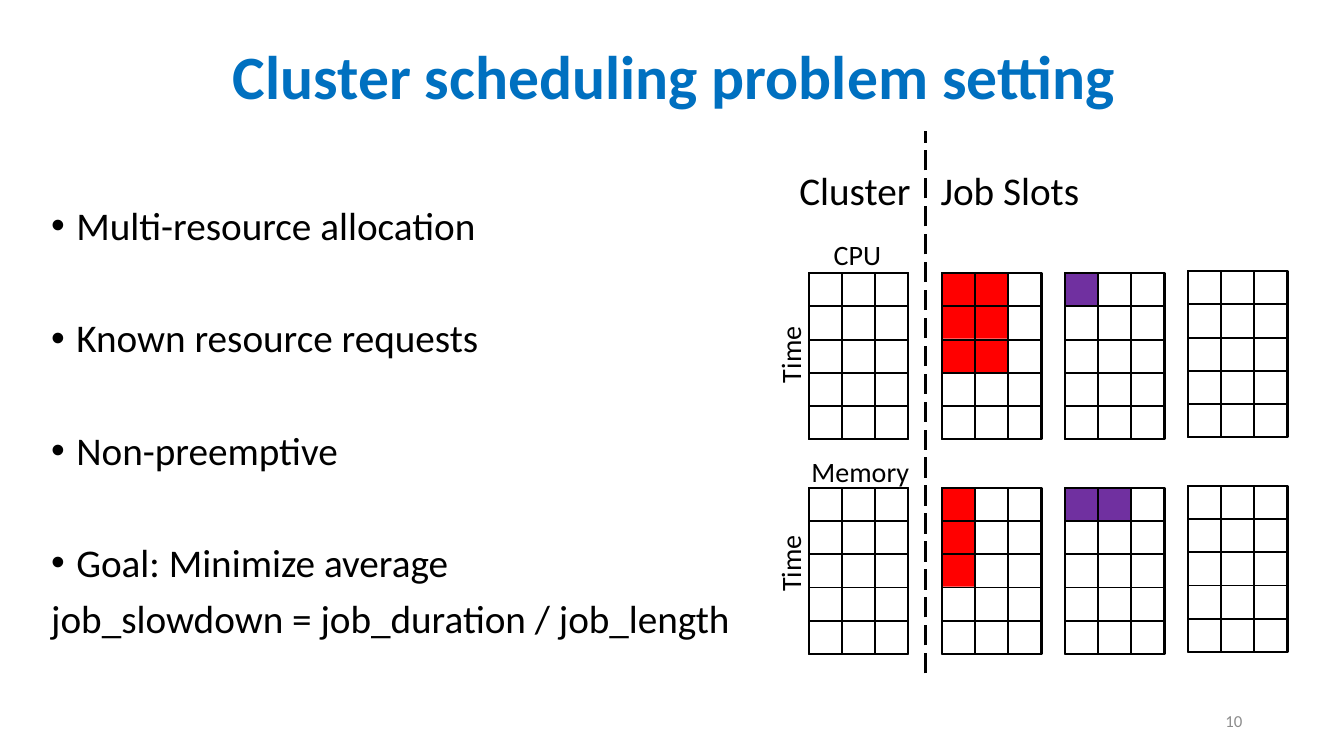
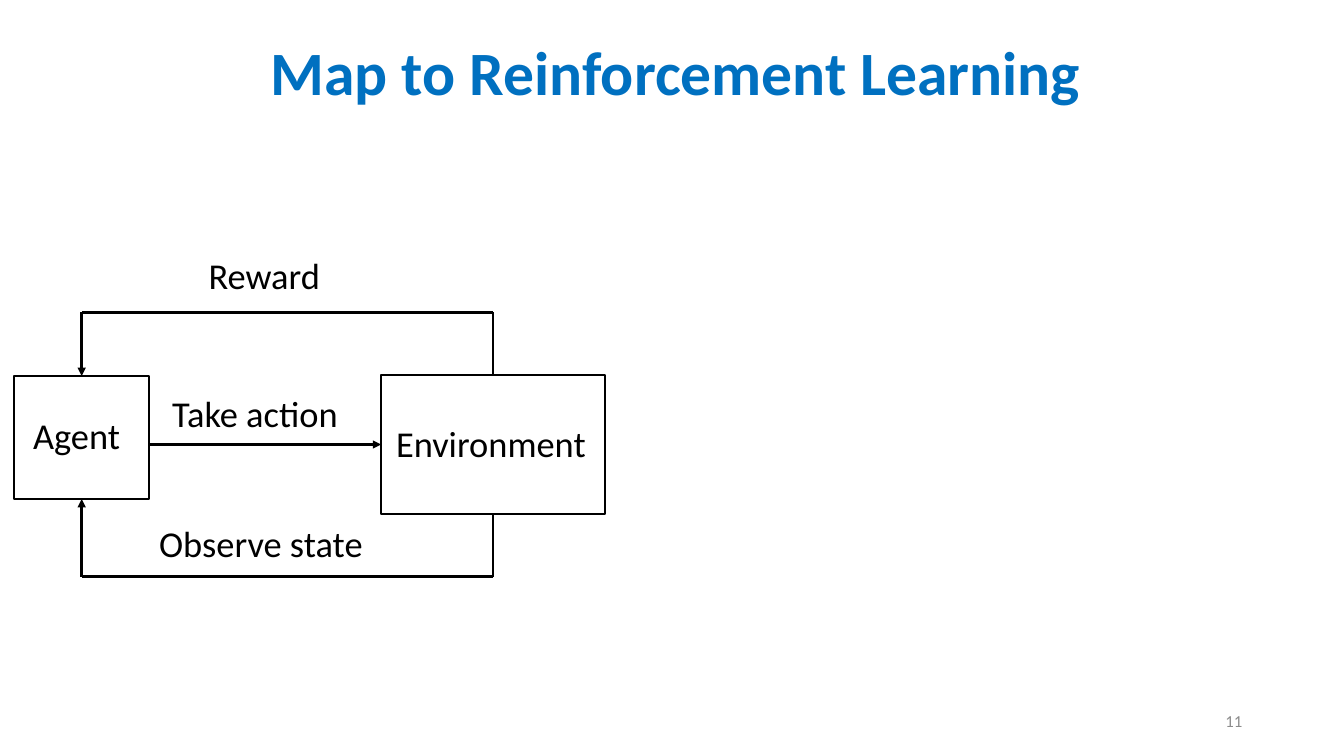
from dataclasses import dataclass
from lxml.etree import SubElement as Sub
from pptx import Presentation
from pptx.dml.color import RGBColor as Rgb
from pptx.enum.dml import MSO_LINE as Dash
from pptx.enum.shapes import MSO_CONNECTOR as Conn, MSO_SHAPE as Form
from pptx.enum.text import MSO_ANCHOR as Anchor, PP_ALIGN as Align
from pptx.oxml.ns import qn
from pptx.util import Pt

PX = 9144  # one hundredth of an inch


@dataclass(frozen=True)
class Theme:
    font: str = "Calibri"
    ink: str = "000000"
    blue: str = "0070C0"
    gray: str = "8C8C8C"
    red: str = "FF0000"
    plum: str = "7030A0"
    title: int = 44
    body: int = 28
    label: int = 26
    small: int = 20
    foot: int = 12
    frame: float = 1.5
    thin: float = 1.25
    wire: float = 1.8


look = Theme()


def text(slide, box, words, size, color=look.ink, align=Align.LEFT, bold=False):
    shape = slide.shapes.add_textbox(*[n * PX for n in box])
    frame = shape.text_frame
    frame.word_wrap = True
    for i, word in enumerate(words):
        para = frame.paragraphs[0] if i == 0 else frame.add_paragraph()
        para.alignment = align
        run = para.add_run()
        run.text = word
        run.font.name = look.font
        run.font.size = Pt(size)
        run.font.bold = bold
        run.font.color.rgb = Rgb.from_string(color)
    return shape


def rect(slide, box, fill=None, line=None):
    shape = slide.shapes.add_shape(Form.RECTANGLE, *[n * PX for n in box])
    shape.shadow.inherit = False
    if fill:
        shape.fill.solid()
        shape.fill.fore_color.rgb = Rgb.from_string(fill)
    else:
        shape.fill.background()
    if line:
        shape.line.width = Pt(line)
        shape.line.color.rgb = Rgb.from_string(look.ink)
    else:
        shape.line.fill.background()
    return shape


deck = Presentation()
deck.slide_width, deck.slide_height = 1333 * PX, 750 * PX

# Slides with title and page number
pages = []
for num, box, name in (
    (10, (94, 6, 1150, 145), "Cluster scheduling problem setting"),
    (11, (65, 2, 1211, 145), "Map to Reinforcement Learning"),
):
    page = deck.slides.add_slide(deck.slide_layouts[6])
    head = text(page, box, [name], look.title, look.blue, Align.CENTER, True)
    head.text_frame.paragraphs[0].line_spacing = 0.9
    foot = text(page, (942, 695, 300, 40), [str(num)], look.foot, look.gray, Align.RIGHT)
    for shape in (head, foot):
        shape.text_frame.vertical_anchor = Anchor.MIDDLE
    pages.append(page)
plan, loop = pages

# Bullet list, closed by a formula without bullet
points = ["Multi-resource allocation", "Known resource requests", "Non-preemptive",
          "Goal: Minimize average", "job_slowdown = job_duration / job_length"]
body = text(plan, (41, 200, 720, 476), points, look.body)
paras = body.text_frame.paragraphs
for i, para in enumerate(paras):
    para.line_spacing = 0.9
    last = i == len(paras) - 1
    para.space_before = Pt(0 if i == 0 else 10 if last else 50)
    if not last:
        props = para._p.get_or_add_pPr()
        props.set("marL", str(25 * PX))
        props.set("indent", str(-25 * PX))
        Sub(props, qn("a:buFont"), typeface="Arial")
        Sub(props, qn("a:buChar"), char="•")

# Headings and axis names of the grids
for box, word, size in (
    ((783, 160, 139, 57), "Cluster", look.body),
    ((923, 160, 201, 57), "Job Slots", look.body),
    ((817, 231, 97, 44), "CPU", look.small),
    ((795, 446, 127, 44), "Memory", look.small),
):
    text(plan, box, [word], size)
for top in (330, 537):
    axis = text(plan, (744, top, 80, 44), ["Time"], look.small, align=Align.CENTER)
    axis.rotation = 270

# Resource grids: left, lift, colour, used cells (columns, rows) per resource
cell, cols, rows = 33, 3, 5
wide, high = cell * cols, cell * rows
for left, lift, color, used in (
    (802, 0, None, ((0, 0), (0, 0))),
    (934, 0, look.red, ((2, 3), (1, 3))),
    (1056, 0, look.plum, ((1, 1), (2, 1))),
    (1178, 2, None, ((0, 0), (0, 0))),
):
    for base, (across, down) in zip((271, 484), used):
        top = base - lift
        for c in range(across):
            for r in range(down):
                rect(plan, (left + 1 + c * cell, top + r * cell, cell - 1, cell - 1), color)
        rect(plan, (left, top, wide, high), line=look.frame)
        for c in range(0, cols, 2):
            rect(plan, (left + c * cell, top, cell, high), line=look.thin)
        for r in range(rows - 1):
            rect(plan, (left, top + r * cell, wide, cell), line=look.thin)

# Agent and environment
agent = rect(loop, (14, 373, 134, 122), line=look.wire)
world = rect(loop, (378, 372, 222, 138), line=look.wire)
for box, word in (
    ((23, 405, 122, 54), "Agent"),
    ((383, 413, 214, 54), "Environment"),
    ((161, 383, 190, 54), "Take action"),
    ((148, 512, 228, 54), "Observe state"),
    ((197, 246, 136, 54), "Reward"),
):
    text(loop, box, [word], look.label)

# Lines: slide, start, end, joined start, joined end, arrow
for page, start, end, tie, goal, arrow in (
    (plan, (918, 668), (918, 130), None, None, False),
    (loop, (148, 441), (378, 441), None, (world, 1), True),
    (loop, (489, 372), (489, 310), (world, 0), None, False),
    (loop, (489, 310), (81, 310), None, None, False),
    (loop, (81, 310), (81, 373), None, (agent, 0), True),
    (loop, (489, 510), (489, 572), (world, 2), None, False),
    (loop, (489, 572), (81, 572), None, None, False),
    (loop, (81, 572), (81, 495), None, (agent, 2), True),
):
    wire = page.shapes.add_connector(Conn.STRAIGHT, *[n * PX for n in start + end])
    if tie:
        wire.begin_connect(*tie)
    if goal:
        wire.end_connect(*goal)
    wire.line.width = Pt(look.wire)
    wire.line.color.rgb = Rgb.from_string(look.ink)
    if page is plan:
        wire.line.dash_style = Dash.LONG_DASH
    if arrow:
        Sub(wire.line._get_or_add_ln(), qn("a:tailEnd"), type="triangle")
    Sub(wire._element.spPr, qn("a:effectLst"))

deck.save("out.pptx")
